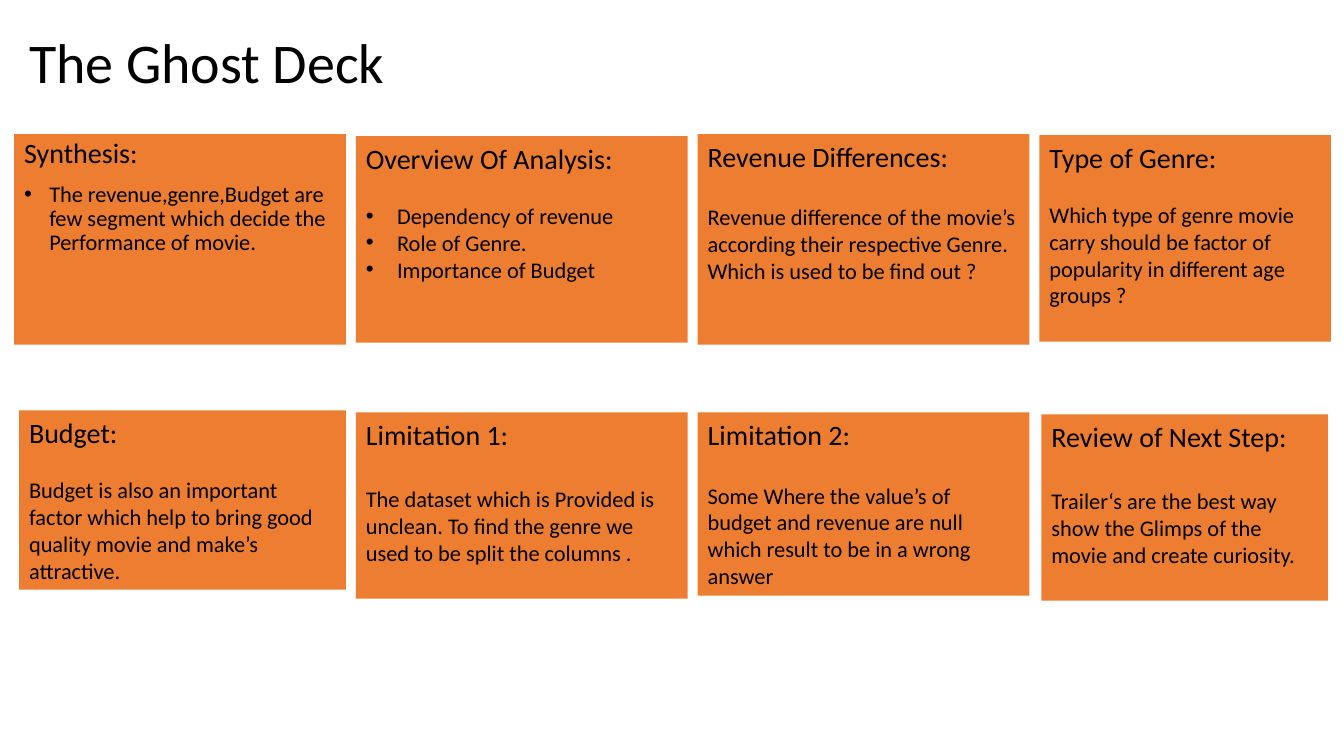
from lxml.etree import SubElement
from pptx import Presentation
from pptx.dml.color import RGBColor
from pptx.enum.shapes import MSO_SHAPE as Preset
from pptx.enum.text import MSO_ANCHOR as Anchor, PP_ALIGN as Align
from pptx.oxml.ns import qn
from pptx.util import Inches, Pt

ORANGE = RGBColor(0xED, 0x7D, 0x31)
BLACK = RGBColor(0, 0, 0)
FONT = "Calibri"
COLUMN_LEFT, COLUMN_WIDTH = 3.53, 3.29
COLUMN_STEP = 3.39

# Position, heading, body paragraphs, gap above the body in points, options
CARDS = [
    ((0.14, 1.33, COLUMN_WIDTH, 2.09), "Synthesis:",
     ["The revenue,genre,Budget are few segment which decide the Performance of movie."],
     10, {"indent": 0.25, "line_spacing": 0.9}),
    ((COLUMN_LEFT, 1.35, COLUMN_WIDTH, 2.05), "Overview Of Analysis:",
     ["Dependency of revenue", "Role of Genre.", "Importance of Budget"],
     19.5, {"indent": 0.31}),
    ((COLUMN_LEFT + COLUMN_STEP, 1.33, COLUMN_WIDTH, 2.09), "Revenue Differences:",
     ["Revenue difference of the movie’s according their respective Genre. "
      "Which is used to be find out ?"], 22, {}),
    ((10.31, 1.34, 2.89, 2.05), "Type of Genre:",
     ["Which type of genre movie",
      "carry should be factor of popularity in different age groups ?"], 19.5, {}),
    ((0.19, 4.07, 3.24, 1.78), "Budget:",
     ["Budget is also an important factor which help to bring good quality movie "
      "and make’s attractive."], 19.5, {}),
    ((COLUMN_LEFT, 4.09, COLUMN_WIDTH, 1.85), "Limitation 1:",
     ["The dataset which is Provided is unclean. To find the genre we used to be "
      "split the columns ."], 24.4, {}),
    ((COLUMN_LEFT + COLUMN_STEP, 4.09, COLUMN_WIDTH, 1.82), "Limitation 2:",
     ["Some Where the value’s of budget and revenue are null which result to be "
      "in a wrong answer"], 22, {}),
    ((10.33, 4.11, 2.84, 1.85), "Review of Next Step:",
     ["Trailer‘s are the best way show the Glimps of the movie and create curiosity."],
     24.4, {}),
]


def write(paragraph, text, size, line_spacing=1.0, space_before=0):
    paragraph.alignment = Align.LEFT
    paragraph.line_spacing = line_spacing
    paragraph.space_before = Pt(space_before)
    run = paragraph.add_run()
    run.text = text
    run.font.name = FONT
    run.font.size = Pt(size)
    run.font.color.rgb = BLACK


def add_bullet(paragraph, indent):
    properties = paragraph._p.get_or_add_pPr()
    properties.set("marL", str(Inches(indent)))
    properties.set("indent", str(-Inches(indent)))
    SubElement(properties, qn("a:buFont"), typeface="Arial")
    SubElement(properties, qn("a:buChar"), char="•")


def add_title(slide, text):
    box = slide.shapes.add_textbox(Inches(0.19), Inches(0.22), Inches(12.96), Inches(0.85))
    frame = box.text_frame
    frame.word_wrap = True
    frame.vertical_anchor = Anchor.MIDDLE
    write(frame.paragraphs[0], text, 40, line_spacing=0.9)


def add_card(slide, position, heading, body, gap, indent=None, line_spacing=1.0):
    shape = slide.shapes.add_shape(Preset.RECTANGLE, *map(Inches, position))
    shape.shadow.inherit = False
    shape.fill.solid()
    shape.fill.fore_color.rgb = ORANGE
    shape.line.fill.background()
    frame = shape.text_frame
    frame.word_wrap = True
    frame.vertical_anchor = Anchor.TOP
    write(frame.paragraphs[0], heading, 20, line_spacing)
    for number, text in enumerate(body):
        paragraph = frame.add_paragraph()
        write(paragraph, text, 16, line_spacing, 0 if number else gap)
        if indent:
            add_bullet(paragraph, indent)


def main():
    presentation = Presentation()
    presentation.slide_width = Inches(13.33)
    presentation.slide_height = Inches(7.5)
    slide = presentation.slides.add_slide(presentation.slide_layouts[6])

    add_title(slide, "The Ghost Deck")
    for position, heading, body, gap, options in CARDS:
        add_card(slide, position, heading, body, gap, **options)

    presentation.save("out.pptx")


main()
